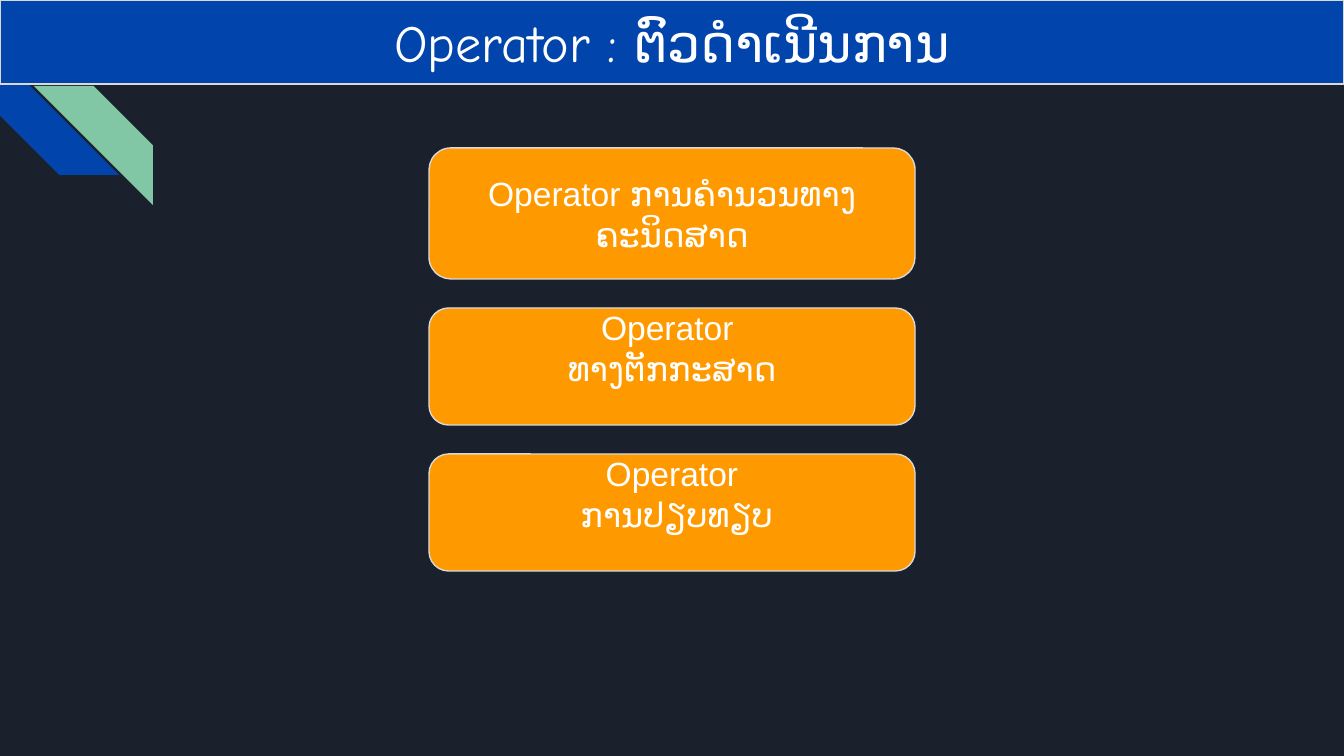
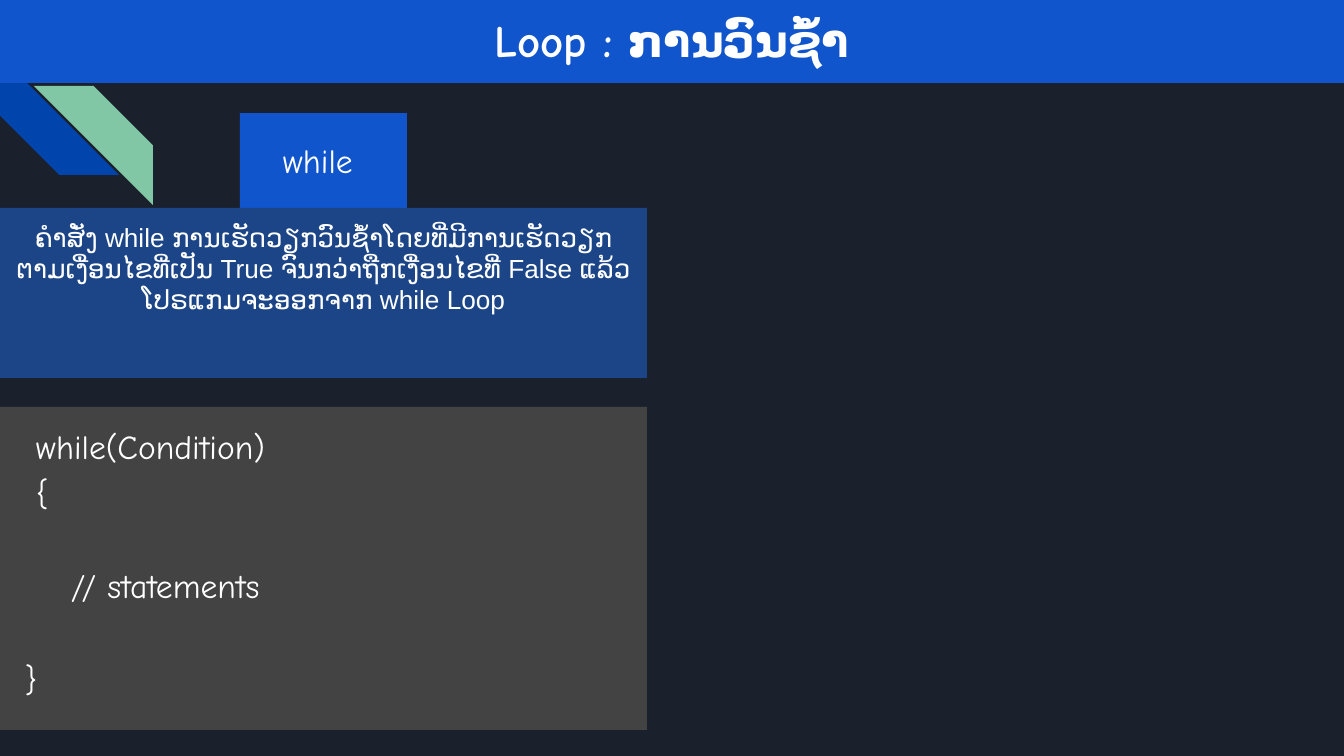
from lxml import etree
from pptx import Presentation
from pptx.dml.color import RGBColor
from pptx.enum.shapes import MSO_SHAPE as SHAPE
from pptx.enum.text import MSO_ANCHOR as ANCHOR, PP_ALIGN as ALIGN
from pptx.oxml.ns import qn
from pptx.util import Pt

WIDTH, HEIGHT = 1344, 756
SCALE = 9144000 / WIDTH
INSET = 13

BACKGROUND = "1B212C"
NAVY, BLUE, DEEP_BLUE = "0145AC", "1155CC", "1C4587"
GREEN, ORANGE = "82C7A5", "FF9900"
CODE_GRAY, LINE_GRAY, WHITE = "434343", "D9D9D9", "FFFFFF"
SANS, COMIC = "Arial", "Comic Neue"


def px(n):
    return round(n * SCALE)


def rgb(color):
    return RGBColor.from_string(color)


def add_block(slide, kind, box, fill, line=None):
    sp = slide.shapes.add_shape(kind, *map(px, box))
    sp.shadow.inherit = False
    sp.fill.solid()
    sp.fill.fore_color.rgb = rgb(fill)
    if line:
        sp.line.color.rgb = rgb(line)
        sp.line.width = Pt(0.75)
    else:
        sp.line.fill.background()
    return sp


def add_run(p, text, size, font, bold=False):
    r = p.add_run()
    r.text = text
    r.font.size = Pt(size)
    r.font.bold = bold
    r.font.name = font
    r.font.color.rgb = rgb(WHITE)
    for script in ("a:ea", "a:cs"):
        etree.SubElement(r.font._element, qn(script)).set("typeface", font)


def write(sp, lines, size, font, bold=False, anchor=ANCHOR.MIDDLE,
          align=ALIGN.CENTER, top=INSET, bottom=INSET):
    """Fill a shape with one paragraph per line and return the paragraphs."""
    tf = sp.text_frame
    tf.word_wrap = True
    tf.vertical_anchor = anchor
    tf.margin_left = tf.margin_right = px(INSET)
    tf.margin_top, tf.margin_bottom = px(top), px(bottom)
    for i, line in enumerate(lines):
        p = tf.add_paragraph() if i else tf.paragraphs[0]
        p.alignment = align
        add_run(p, line, size, font, bold)
    return tf.paragraphs


def add_stripes(slide, left, top, side=119):
    blue = add_block(slide, SHAPE.DIAGONAL_STRIPE, (left, top, side, side), NAVY)
    blue.rotation = 270
    green = add_block(slide, SHAPE.DIAGONAL_STRIPE,
                      (left + 34, top + 30, side, side), GREEN)
    green._element.spPr.get_or_add_xfrm().set("flipH", "1")


def new_slide(prs):
    slide = prs.slides.add_slide(prs.slide_layouts[6])
    add_stripes(slide, 0, 56)
    return slide


def add_title(slide, text, size, height, fill, line=None, **style):
    band = add_block(slide, SHAPE.RECTANGLE, (0, 0, WIDTH, height), fill, line)
    write(band, [text], size, COMIC, **style)


def add_operator_cards(slide, left, top, width, gap=29):
    cards = [
        (131, ["Operator ການຄຳນວນທາງຄະນິດສາດ"], {}),
        (117, ["Operator ", "ທາງຕັກກະສາດ"], {"top": 0, "bottom": 38}),
        (117, ["Operator", " ການປຽບທຽບ"], {"top": 0, "bottom": 38}),
    ]
    for height, lines, insets in cards:
        card = add_block(slide, SHAPE.ROUNDED_RECTANGLE,
                         (left, top, width, height), ORANGE, LINE_GRAY)
        write(card, lines, 18, SANS, **insets)
        top += height + gap


def add_while_panel(slide, left, top, width):
    tab = add_block(slide, SHAPE.RECTANGLE, (left + 240, top, 167, 95), BLUE)
    write(tab, ["while "], 18, COMIC)
    note = add_block(slide, SHAPE.RECTANGLE, (left, top + 95, width, 170), DEEP_BLUE)
    write(note, ["ຄໍາສັ່ງ while ການເຮັດວຽກວົນຊໍ້າໂດຍທີ່ມີການເຮັດວຽກຕາມເງື່ອນໄຂທີ່ເປັນ True "
                 "ຈົນກວ່າຖືກເງື່ອນໄຂທີ່ False ແລ້ວໂປຣແກມຈະອອກຈາກ while Loop"],
          14, SANS, anchor=ANCHOR.TOP)
    add_code(slide, (left, top + 294, width, 323))


def add_code(slide, box):
    # Each line: text, left indent in px, space before in points
    code = [("while(Condition)", 23, 0), ("{", 23, 0),
            ("// statements", 58, 25), ("}", 12, 25)]
    panel = add_block(slide, SHAPE.RECTANGLE, box, CODE_GRAY)
    paragraphs = write(panel, [text for text, _, _ in code], 18, COMIC,
                       anchor=ANCHOR.TOP, align=ALIGN.LEFT)
    for p, (_, indent, before) in zip(paragraphs, code):
        p.line_spacing = 1.15
        p.space_before = Pt(before)
        props = p._element.get_or_add_pPr()
        props.set("marL", str(px(indent)))
        props.set("indent", "0")


def operator_slide(prs):
    slide = new_slide(prs)
    add_title(slide, "Operator : ຕົວດຳເນີນການ", 28, 84, NAVY, LINE_GRAY)
    add_operator_cards(slide, 429, 148, 486)


def loop_slide(prs):
    slide = new_slide(prs)
    add_title(slide, "Loop : ການວົນຊ້ຳ", 24, 83, BLUE, bold=True, anchor=ANCHOR.TOP)
    add_while_panel(slide, 0, 113, 647)


def main():
    prs = Presentation()
    prs.slide_width, prs.slide_height = px(WIDTH), px(HEIGHT)
    fill = prs.slide_master.background.fill
    fill.solid()
    fill.fore_color.rgb = rgb(BACKGROUND)
    operator_slide(prs)
    loop_slide(prs)
    prs.save("out.pptx")


if __name__ == "__main__":
    main()
